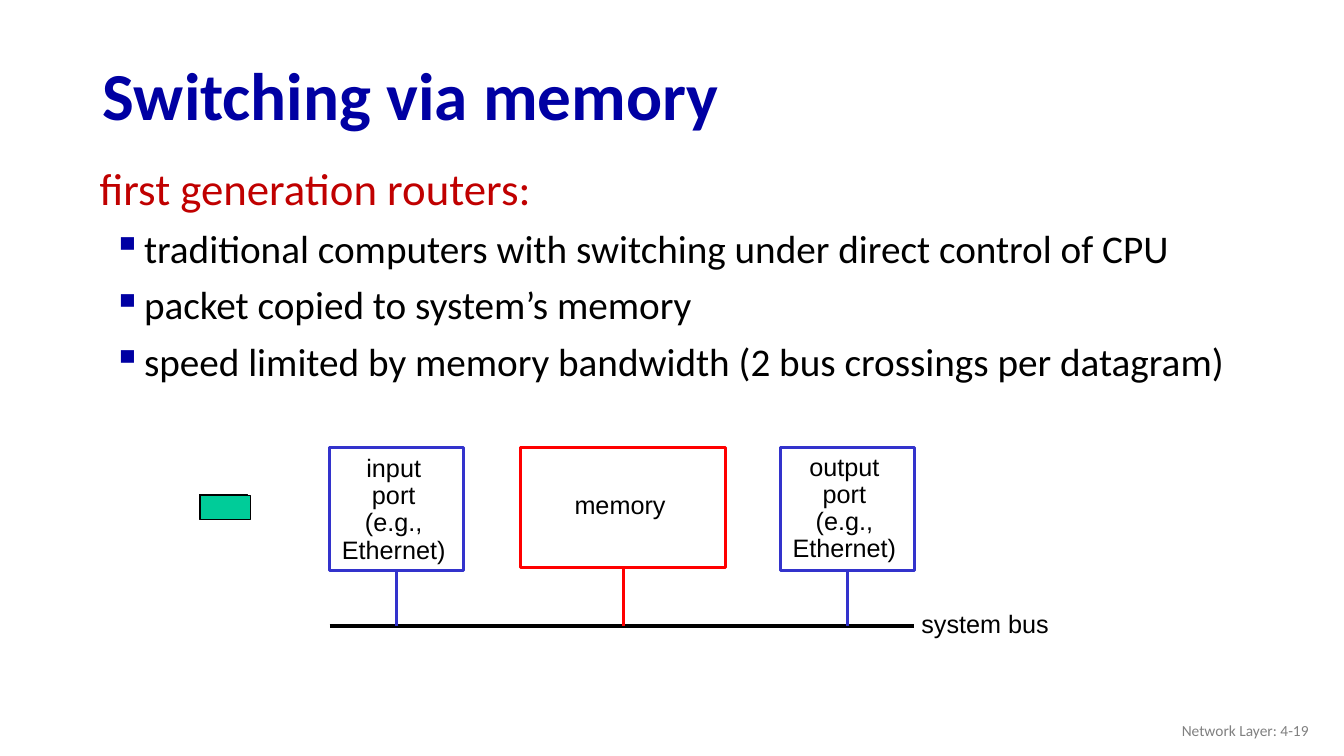
from lxml.etree import SubElement
from pptx import Presentation
from pptx.dml.color import RGBColor
from pptx.enum.shapes import MSO_CONNECTOR, MSO_SHAPE
from pptx.enum.text import MSO_ANCHOR, MSO_AUTO_SIZE, PP_ALIGN
from pptx.oxml.ns import qn
from pptx.util import Inches, Pt

NAVY, BLUE, RED, BLACK = "0000A3", "3333CC", "FF0000", "000000"


def color(hex_string):
    return RGBColor.from_string(hex_string)


class SlideBuilder:
    """Holds the deck style and the current slide, and adds elements to it."""

    heading_font = "Calibri"
    diagram_font = "Arial"

    def __init__(self, deck):
        self.slide = deck.slides.add_slide(deck.slide_layouts[5])

    def add_text(self, paragraph, text, size, hex_color, font, bold=False):
        run = paragraph.add_run()
        run.text = text
        run.font.size = Pt(size)
        run.font.name = font
        run.font.bold = bold
        run.font.color.rgb = color(hex_color)

    def title(self, text, left, top, width, height):
        heading = self.slide.shapes.title
        heading.left, heading.top = Inches(left), Inches(top)
        heading.width, heading.height = Inches(width), Inches(height)
        frame = heading.text_frame
        frame.vertical_anchor = MSO_ANCHOR.MIDDLE
        frame.auto_size = MSO_AUTO_SIZE.NONE
        paragraph = frame.paragraphs[0]
        paragraph.alignment = PP_ALIGN.LEFT
        paragraph.line_spacing = 0.9
        self.add_text(paragraph, text, 48, NAVY, self.heading_font, True)

    def frame(self, left, top, width, height, wrap=True):
        box = self.slide.shapes.add_textbox(
            Inches(left), Inches(top), Inches(width), Inches(height))
        box.text_frame.word_wrap = wrap
        return box.text_frame

    def indent(self, paragraph, left, hanging):
        properties = paragraph._p.get_or_add_pPr()
        properties.set("marL", str(Inches(left)))
        properties.set("indent", str(-Inches(hanging)))
        return properties

    def outline(self, heading, points, left, top, width, height):
        frame = self.frame(left, top, width, height)
        lead = frame.paragraphs[0]
        self.indent(lead, 0.26, 0.26)
        lead.line_spacing = 0.9
        self.add_text(lead, heading, 32, "C00000", self.heading_font)
        for point in points:
            paragraph = frame.add_paragraph()
            properties = self.indent(paragraph, 0.44, 0.31)
            bullet_color = SubElement(properties, qn("a:buClr"))
            SubElement(bullet_color, qn("a:srgbClr")).set("val", NAVY)
            SubElement(properties, qn("a:buChar")).set("char", "▪")
            paragraph.line_spacing = 0.9
            paragraph.space_before = Pt(10)
            self.add_text(paragraph, point, 28, BLACK, self.heading_font)

    def label(self, lines, left, top, width, height,
              align=PP_ALIGN.CENTER, spacing=0.9):
        frame = self.frame(left, top, width, height, wrap=False)
        for index, line in enumerate(lines):
            paragraph = frame.add_paragraph() if index else frame.paragraphs[0]
            paragraph.alignment = align
            paragraph.line_spacing = spacing
            self.add_text(paragraph, line, 18, BLACK, self.diagram_font)

    def rectangle(self, left, top, width, height, line, fill=None, weight=2.25):
        block = self.slide.shapes.add_shape(
            MSO_SHAPE.RECTANGLE, Inches(left), Inches(top), Inches(width), Inches(height))
        block.shadow.inherit = False
        if fill:
            block.fill.solid()
            block.fill.fore_color.rgb = color(fill)
        else:
            block.fill.background()
        block.line.color.rgb = color(line)
        block.line.width = Pt(weight)
        return block

    def line(self, x1, y1, x2, y2, hex_color, source=None):
        connector = self.slide.shapes.add_connector(
            MSO_CONNECTOR.STRAIGHT, Inches(x1), Inches(y1), Inches(x2), Inches(y2))
        connector.line.color.rgb = color(hex_color)
        connector.line.width = Pt(2.25)
        SubElement(connector._element.spPr, qn("a:effectLst"))
        if source:
            connector.begin_connect(source, 2)

    def footer(self, text, left, top, width, height):
        frame = self.frame(left, top, width, height)
        frame.vertical_anchor = MSO_ANCHOR.MIDDLE
        paragraph = frame.paragraphs[0]
        paragraph.alignment = PP_ALIGN.RIGHT
        self.add_text(paragraph, text, 11, "808080", self.heading_font)


def main():
    deck = Presentation()
    deck.slide_width, deck.slide_height = Inches(13.33), Inches(7.5)
    page = SlideBuilder(deck)

    page.outline("first generation routers:", [
        "traditional computers with switching under direct control of CPU",
        "packet copied to system’s memory",
        "speed limited by memory bandwidth (2 bus crossings per datagram)",
    ], 0.89, 1.61, 12.34, 3.03)
    page.title("Switching via memory", 0.92, 0.49, 11.5, 0.98)

    block_top, bus_y = 4.44, 6.21
    page.line(3.27, bus_y, 9.07, bus_y, BLACK)
    for direction, left, label_top in [("input", 3.27, 4.47), ("output", 7.74, 4.46)]:
        port = page.rectangle(left, block_top, 1.33, 1.22, BLUE, "FFFFFF")
        page.label([direction, "port", "(e.g.,", "Ethernet)"],
                   left + 0.02, label_top, 1.23, 1.18)
        middle = left + 1.33 / 2
        page.line(middle, block_top + 1.22, middle, bus_y, BLUE, port)

    memory = page.rectangle(5.16, block_top, 2.04, 1.19, RED)
    page.label(["memory"], 5.6, 4.84, 1.1, 0.37)
    page.line(6.18, block_top + 1.19, 6.18, bus_y, RED, memory)
    page.label(["system bus"], 9.04, 5.99, 1.47, 0.4, PP_ALIGN.LEFT, 1.0)

    for left, top, width, height in [(1.98, 4.91, 0.48, 0.24), (1.99, 4.92, 0.49, 0.23)]:
        page.rectangle(left, top, width, height, BLACK, "00CC99", 0.75)

    page.footer("Network Layer: 4-19", 10.08, 7.05, 3, 0.4)
    deck.save("out.pptx")


if __name__ == "__main__":
    main()
